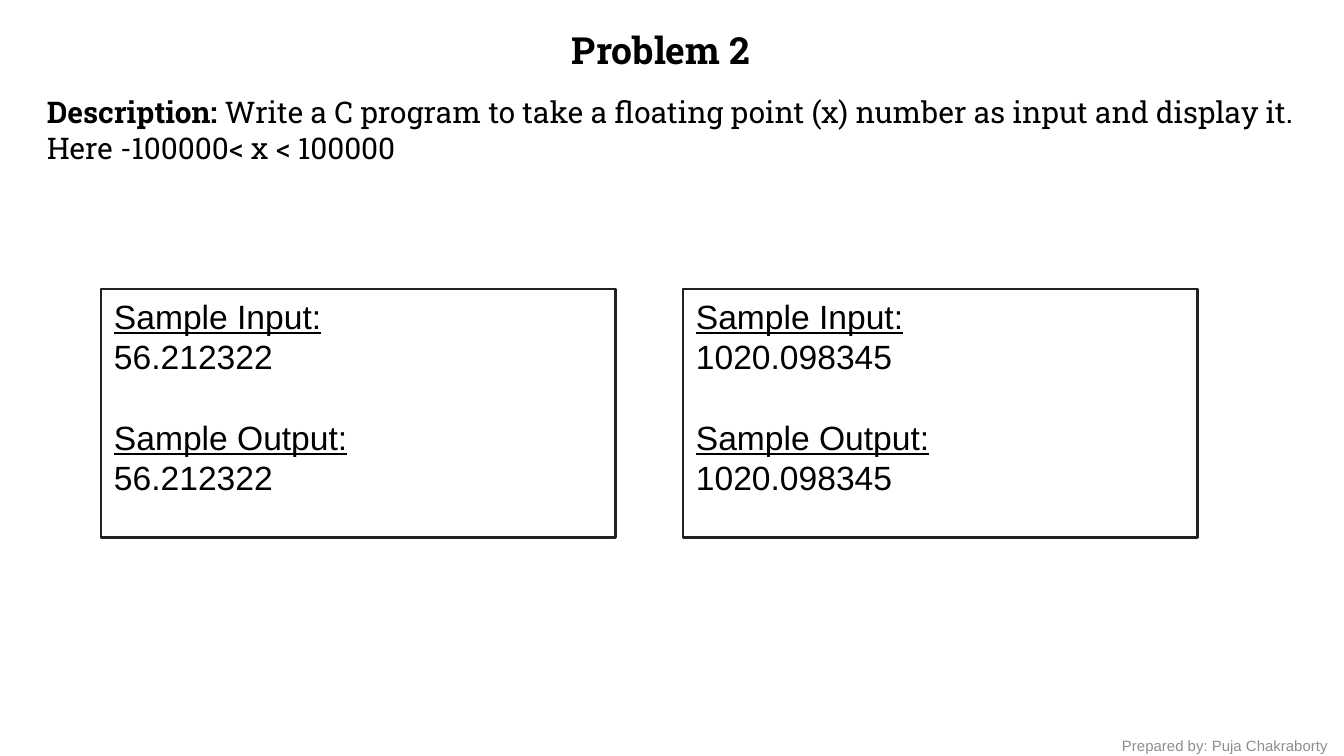
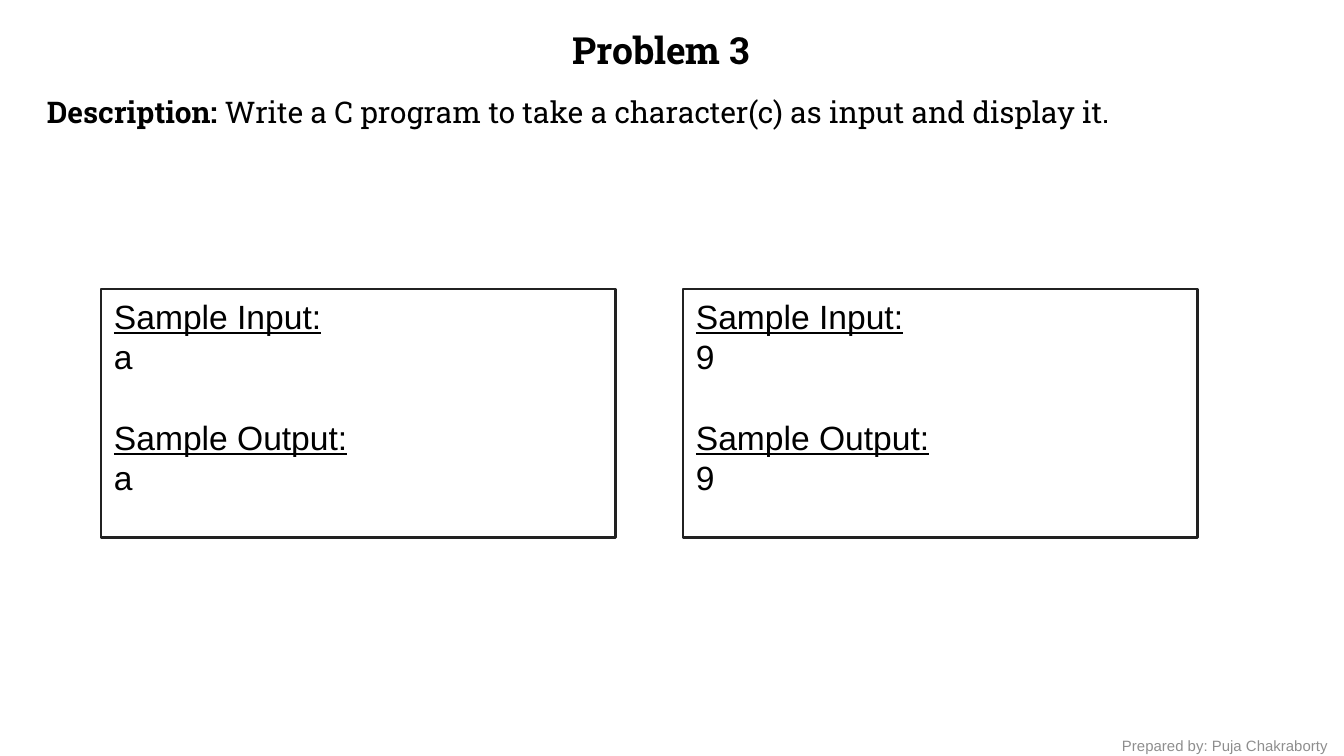
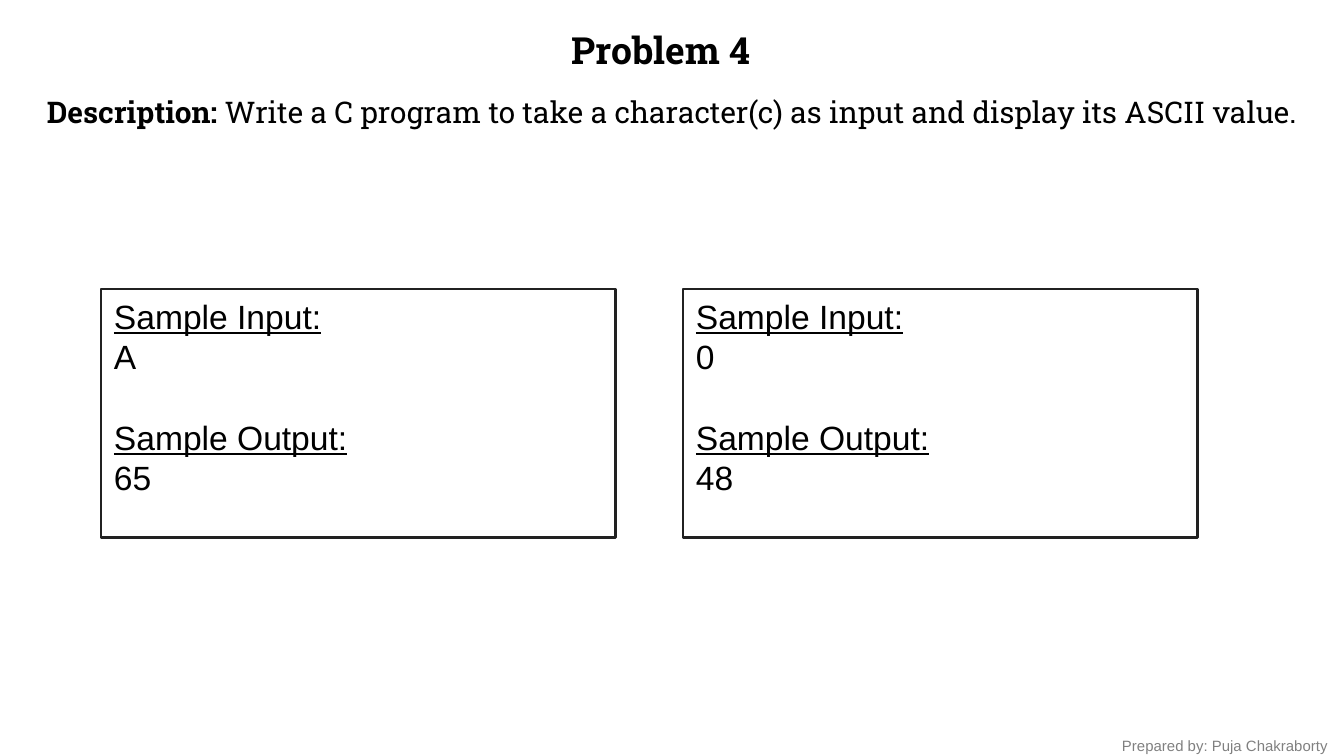
from dataclasses import dataclass

from pptx import Presentation
from pptx.dml.color import RGBColor
from pptx.enum.shapes import MSO_SHAPE
from pptx.enum.text import MSO_ANCHOR, PP_ALIGN
from pptx.slide import Slide
from pptx.text.text import TextFrame
from pptx.util import Inches, Pt

BLACK = RGBColor(0x00, 0x00, 0x00)
BORDER = RGBColor(0x21, 0x21, 0x21)
FOOTER_GRAY = RGBColor(0x8E, 0x8E, 0x8E)
FOOTER_DARK_GRAY = RGBColor(0x80, 0x80, 0x80)
HEADING_FONT = "Roboto Slab"
BODY_FONT = "Arial"
BLANK_LAYOUT = 6

SLIDE_WIDTH = Inches(10)
SLIDE_HEIGHT = SLIDE_WIDTH * 9 // 16

SAMPLE_LEFT, SAMPLE_TOP = 0.75, 2.15
SAMPLE_WIDTH, SAMPLE_HEIGHT, SAMPLE_GAP = 3.83, 1.85, 0.5
SECTION_GAP = 21.6


@dataclass(frozen=True)
class Sample:
    given: str
    shown: str


@dataclass(frozen=True)
class Problem:
    number: int
    description: tuple[str, ...]
    description_height: float
    samples: tuple[Sample, ...]
    footer_color: RGBColor = FOOTER_GRAY


PROBLEMS = (
    Problem(
        2,
        (
            "Write a C program to take a floating point (x) number as input and display it.",
            "Here -100000< x < 100000",
        ),
        0.91,
        (Sample("56.212322", "56.212322"), Sample("1020.098345", "1020.098345")),
    ),
    Problem(
        3,
        ("Write a C program to take a character(c) as input and display it.",),
        0.37,
        (Sample("a", "a"), Sample("9", "9")),
    ),
    Problem(
        4,
        ("Write a C program to take a character(c) as input and display its ASCII value.",),
        0.64,
        (Sample("A", "65"), Sample("0", "48")),
        FOOTER_DARK_GRAY,
    ),
)


def write(
    frame: TextFrame,
    text: str,
    *,
    size: float,
    font: str = BODY_FONT,
    color: RGBColor = BLACK,
    bold: bool = False,
    underline: bool = False,
    align: PP_ALIGN = PP_ALIGN.LEFT,
    space_before: float = 0,
    same_line: bool = False,
) -> None:
    """Add text as a new paragraph, or to the last one when same_line is set."""
    para = frame.paragraphs[-1]
    if para.runs and not same_line:
        para = frame.add_paragraph()
    para.alignment = align
    if space_before:
        para.space_before = Pt(space_before)
    span = para.add_run()
    span.text = text
    span.font.name = font
    span.font.size = Pt(size)
    span.font.color.rgb = color
    span.font.bold = bold
    span.font.underline = underline


def add_text_frame(page: Slide, left: float, top: float, width: float, height: float) -> TextFrame:
    box = page.shapes.add_textbox(Inches(left), Inches(top), Inches(width), Inches(height))
    box.text_frame.word_wrap = True
    return box.text_frame


def add_sample(page: Slide, sample: Sample, column: int) -> None:
    left = SAMPLE_LEFT + column * (SAMPLE_WIDTH + SAMPLE_GAP)
    box = page.shapes.add_shape(
        MSO_SHAPE.RECTANGLE,
        Inches(left), Inches(SAMPLE_TOP), Inches(SAMPLE_WIDTH), Inches(SAMPLE_HEIGHT),
    )
    box.shadow.inherit = False
    box.fill.background()
    box.line.color.rgb = BORDER
    box.line.width = Pt(1.25)
    frame = box.text_frame
    frame.word_wrap = True
    frame.vertical_anchor = MSO_ANCHOR.TOP
    write(frame, "Sample Input:", size=18, underline=True)
    write(frame, sample.given, size=18)
    write(frame, "Sample Output:", size=18, underline=True, space_before=SECTION_GAP)
    write(frame, sample.shown, size=18)


def add_problem(page: Slide, problem: Problem) -> None:
    title = add_text_frame(page, 2.17, 0.15, 5.5, 0.44)
    write(title, f"Problem {problem.number}", size=20, font=HEADING_FONT, bold=True,
          align=PP_ALIGN.CENTER)

    description = add_text_frame(page, 0.25, 0.65, 9.58, problem.description_height)
    write(description, "Description: ", size=16, font=HEADING_FONT, bold=True)
    for index, line in enumerate(problem.description):
        write(description, line, size=16, font=HEADING_FONT, same_line=index == 0)

    footer = add_text_frame(page, 8.25, 5.43, 1.83, 0.24)
    write(footer, "Prepared by: Puja Chakraborty", size=8, color=problem.footer_color)

    for column, sample in enumerate(problem.samples):
        add_sample(page, sample, column)


def main() -> None:
    deck = Presentation()
    deck.slide_width = SLIDE_WIDTH
    deck.slide_height = SLIDE_HEIGHT
    for problem in PROBLEMS:
        add_problem(deck.slides.add_slide(deck.slide_layouts[BLANK_LAYOUT]), problem)
    deck.save("out.pptx")


if __name__ == "__main__":
    main()
